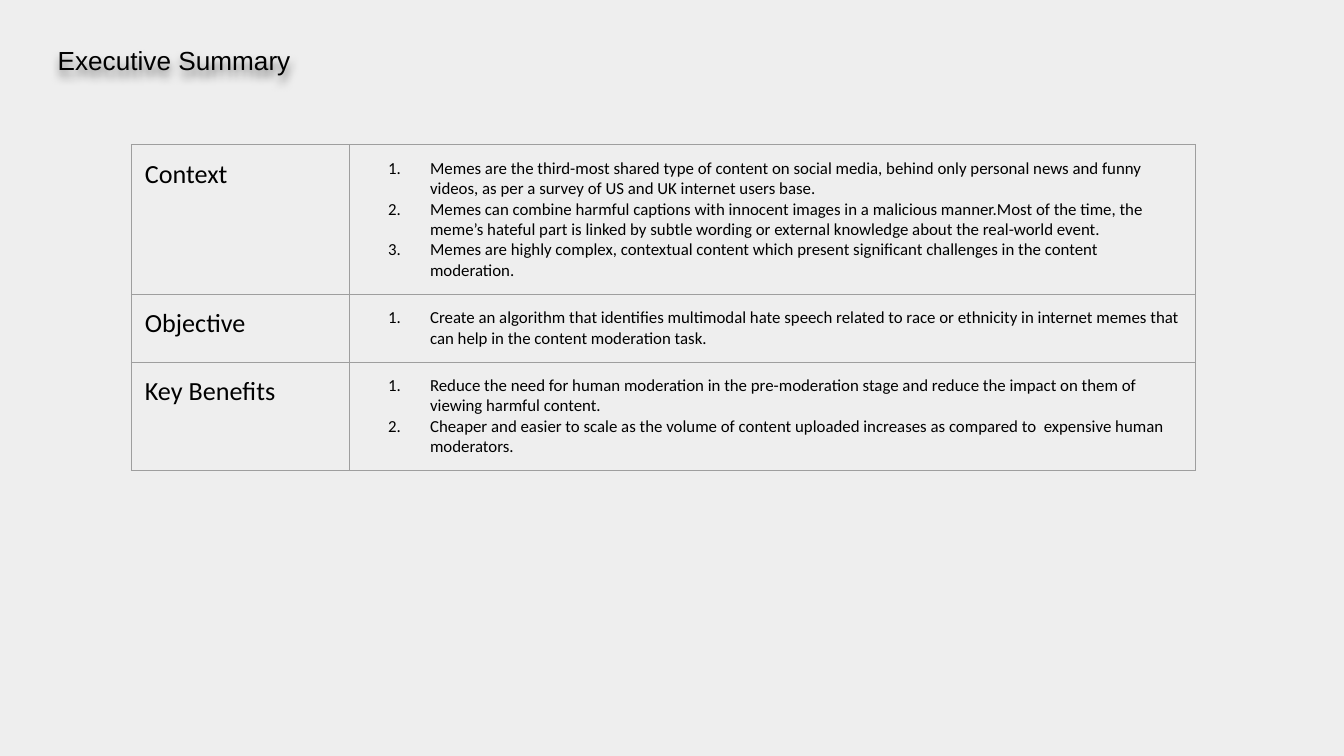
from lxml.etree import SubElement
from pptx import Presentation
from pptx.dml.color import RGBColor
from pptx.enum.text import MSO_AUTO_SIZE
from pptx.oxml import parse_xml
from pptx.oxml.ns import nsdecls, qn
from pptx.util import Pt

ROWS = [
    ("Context", 80, [
        "Memes are the third-most shared type of content on social media, behind only "
        "personal news and funny videos, as per a survey of US and UK internet users base.",
        "Memes can combine harmful captions with innocent images in a malicious manner."
        "Most of the time, the meme’s hateful part is linked by subtle wording or external "
        "knowledge about the real-world event.",
        "Memes are highly complex, contextual content which present significant challenges "
        "in the content moderation.",
    ]),
    ("Objective", 36, [
        "Create an algorithm that identifies multimodal hate speech related to race or "
        "ethnicity in internet memes that can help in the content moderation task.",
    ]),
    ("Key Benefits", 58, [
        "Reduce the need for human moderation in the pre-moderation stage and reduce the "
        "impact on them of viewing harmful content.",
        "Cheaper and easier to scale as the volume of content uploaded increases as "
        "compared to  expensive human moderators.",
    ]),
]


def color(code):
    return RGBColor.from_string(code)


class Deck:
    ink, edge, back = "000000", "9E9E9E", "EEEEEE"
    pad = Pt(7.2)

    def __init__(self, slide):
        self.slide = slide
        fill = slide.background.fill
        fill.solid()
        fill.fore_color.rgb = color(self.back)

    def inset(self, box):
        box.margin_left = box.margin_right = self.pad
        box.margin_top = box.margin_bottom = self.pad

    def text(self, par, words, size, font):
        run = par.add_run()
        run.text = words
        run.font.size = Pt(size)
        run.font.name = font
        run.font.color.rgb = color(self.ink)

    def title(self, words, left, top, width, height):
        box = self.slide.shapes.add_textbox(Pt(left), Pt(top), Pt(width), Pt(height))
        frame = box.text_frame
        frame.word_wrap = True
        frame.auto_size = MSO_AUTO_SIZE.SHAPE_TO_FIT_TEXT
        self.inset(frame)
        self.text(frame.paragraphs[0], words, 14, "Arial")
        box.element.spPr.append(parse_xml(
            f'<a:effectLst {nsdecls("a")}>'
            f'<a:outerShdw blurRad="{Pt(4.5)}" dist="{Pt(3)}" dir="5400000" algn="bl" '
            f'rotWithShape="0"><a:srgbClr val="{self.ink}"><a:alpha val="50000"/>'
            '</a:srgbClr></a:outerShdw></a:effectLst>'))

    def number(self, par):
        """Turn a paragraph into a numbered item with a hanging indent."""
        props = par._p.get_or_add_pPr()
        props.set("marL", str(Pt(36)))
        props.set("indent", str(-Pt(22.5)))
        tint = SubElement(props, qn("a:buClr"))
        SubElement(tint, qn("a:srgbClr"), val=self.ink)
        SubElement(props, qn("a:buSzPts"), val="900")
        SubElement(props, qn("a:buFont"), typeface="Calibri")
        SubElement(props, qn("a:buAutoNum"), type="arabicPeriod")

    def frame(self, cell):
        """Clear the cell's fill and rule all four sides."""
        self.inset(cell)
        cell.fill.background()
        props = cell._tc.get_or_add_tcPr()
        for spot, side in enumerate("LRTB"):
            props.insert(spot, parse_xml(
                f'<a:ln{side} {nsdecls("a")} w="{Pt(0.75)}"><a:solidFill>'
                f'<a:srgbClr val="{self.edge}"/></a:solidFill></a:ln{side}>'))

    def table(self, rows, left, top, widths):
        high = sum(row[1] for row in rows)
        grid = self.slide.shapes.add_table(
            len(rows), len(widths), Pt(left), Pt(top), Pt(sum(widths)), Pt(high)).table
        grid.first_row = grid.horz_banding = False
        for col, width in zip(grid.columns, widths):
            col.width = Pt(width)
        for spot, (head, height, items) in enumerate(rows):
            grid.rows[spot].height = Pt(height)
            label, body = grid.rows[spot].cells
            self.frame(label)
            self.frame(body)
            self.text(label.text_frame.paragraphs[0], head, 14, "Calibri")
            frame = body.text_frame
            for place, item in enumerate(items):
                par = frame.add_paragraph() if place else frame.paragraphs[0]
                self.number(par)
                self.text(par, item, 9, "Calibri")


def main():
    show = Presentation()
    show.slide_width, show.slide_height = Pt(720), Pt(405)
    deck = Deck(show.slides.add_slide(show.slide_layouts[6]))
    deck.table(ROWS, 70.4, 77.6, [116.8, 453.4])
    deck.title("Executive Summary", 23.8, 16.6, 313.2, 31.7)
    show.save("out.pptx")


if __name__ == "__main__":
    main()
